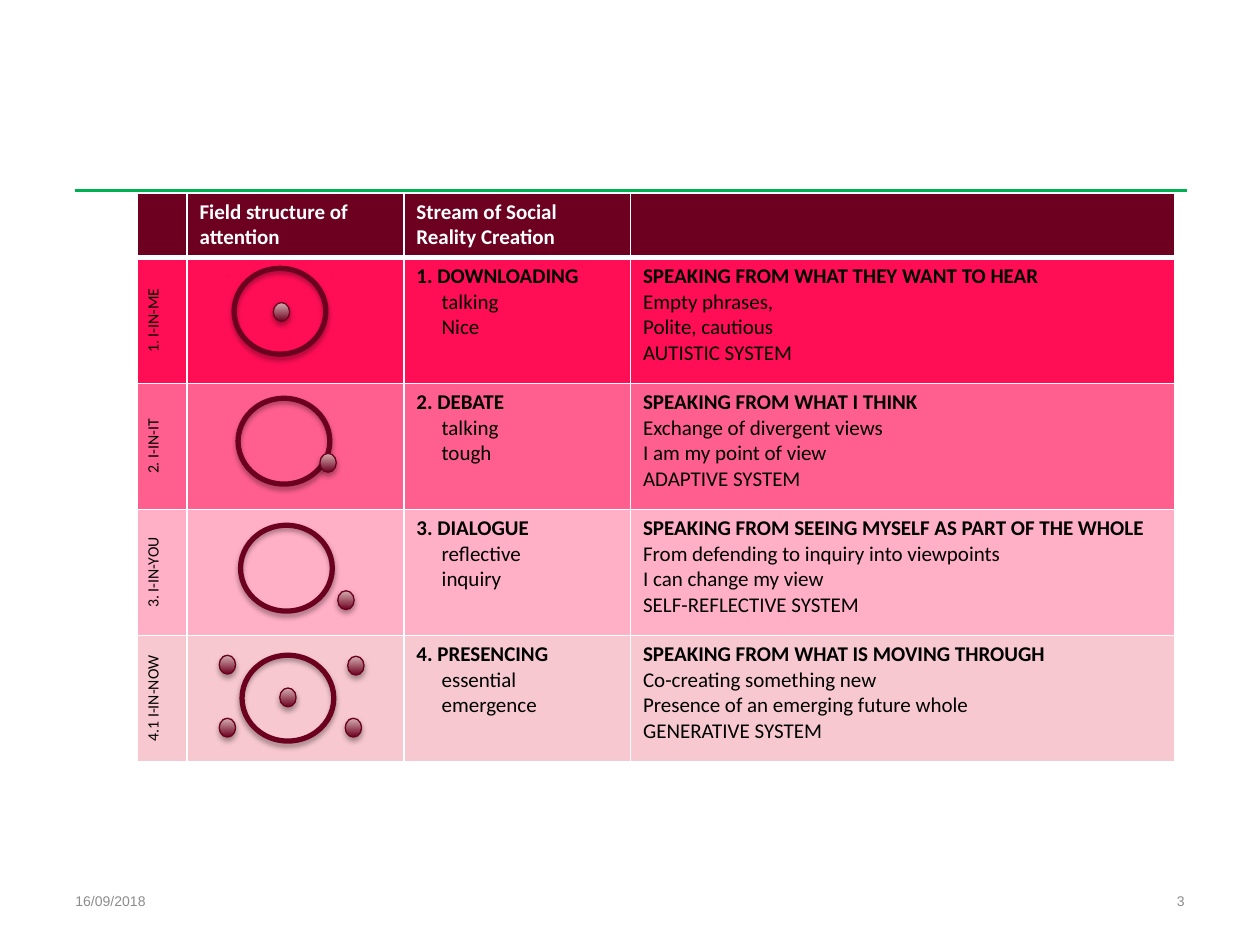
import pptx
import pptx.util
from lxml import etree
from pptx.dml.color import RGBColor
from pptx.enum.shapes import MSO_CONNECTOR, MSO_SHAPE
from pptx.enum.text import MSO_ANCHOR, PP_ALIGN
from pptx.oxml import parse_xml
from pptx.oxml.ns import qn
from pptx.util import Cm, Pt

NAMESPACE = "http://schemas.openxmlformats.org/drawingml/2006/main"
WINE, RIM, WHITE, BLACK = "6D0020", "6B001F", "FFFFFF", "000000"

# Content: lengths in centimetres
HEADERS = ["", "Field structure of attention", "Stream of Social Reality Creation", ""]
LEVELS = [
    {"label": "1. I-IN-ME", "fill": "FF0E55",
     "stream": ["1. DOWNLOADING", "talking", "Nice"],
     "speech": ["SPEAKING FROM WHAT THEY WANT TO HEAR", "Empty phrases,",
                "Polite, cautious", "AUTISTIC SYSTEM"],
     "ring": (4.72, 5.41), "dots": [(5.51, 6.1)]},
    {"label": "2. I-IN-IT", "fill": "FF5F8E",
     "stream": ["2. DEBATE", "talking", "tough"],
     "speech": ["SPEAKING FROM WHAT I THINK", "Exchange of divergent views",
                "I am my point of view", "ADAPTIVE SYSTEM"],
     "ring": (4.8, 8.03), "dots": [(6.45, 9.14)]},
    {"label": "3. I-IN-YOU", "fill": "FFAFC6",
     "stream": ["3. DIALOGUE", "reflective", "inquiry"],
     "speech": ["SPEAKING FROM SEEING MYSELF AS PART OF THE WHOLE",
                "From defending to inquiry into viewpoints",
                "I can change my view", "SELF-REFLECTIVE SYSTEM"],
     "ring": (4.85, 10.59), "dots": [(6.81, 11.91)]},
    {"label": "4.1 I-IN-NOW", "fill": "F7C8CF",
     "stream": ["4. PRESENCING", "essential", "emergence"],
     "speech": ["SPEAKING FROM WHAT IS MOVING THROUGH", "Co-creating something new",
                "Presence of an emerging future whole", "GENERATIVE SYSTEM"],
     "ring": (4.88, 13.21),
     "dots": [(5.64, 13.87), (7.01, 13.23), (6.96, 14.48), (4.42, 13.21), (4.42, 14.48)]},
]
FOOTERS = [("16/09/2018", 1.27, PP_ALIGN.LEFT), ("3", 18.21, PP_ALIGN.RIGHT)]
COLUMNS = [1, 4.37, 4.57, 10.97]
ROWS = [1.3] + [2.54] * len(LEVELS)
RING_SIZE, DOT_SIZE = (1.85, 1.73), (0.33, 0.38)


def colour(code):
    return RGBColor.from_string(code)


def write(frame, text, size=12, font="Calibri", color=BLACK, bold=False,
          align=PP_ALIGN.LEFT, first=True, indent=0):
    para = frame.paragraphs[0] if first else frame.add_paragraph()
    para.alignment = align
    if indent:
        para.level = 1
        properties = para._p.get_or_add_pPr()
        properties.set("marL", str(Cm(indent)))
        properties.set("indent", "0")
    span = para.add_run()
    span.text = text
    span.font.size, span.font.name, span.font.bold = Pt(size), font, bold
    span.font.color.rgb = colour(color)


def write_list(frame, lines, indent=0):
    for index, line in enumerate(lines):
        write(frame, line, bold=index == 0, first=index == 0,
              indent=indent if index else 0)


def format_cell(cell, fill, top=1, bottom=1):
    properties = cell._tc.get_or_add_tcPr()
    for side, width in (("L", 1), ("R", 1), ("T", top), ("B", bottom)):
        properties.append(parse_xml(
            f'<a:ln{side} xmlns:a="{NAMESPACE}" w="{Pt(width)}"><a:solidFill>'
            f'<a:srgbClr val="{WHITE}"/></a:solidFill></a:ln{side}>'))
    cell.fill.solid()
    cell.fill.fore_color.rgb = colour(fill)


def add_oval(shapes, place, size, line_width):
    oval = shapes.add_shape(MSO_SHAPE.OVAL, *map(Cm, place + size))
    oval.fill.background()
    oval.line.color.rgb = colour(RIM)
    oval.line.width = Pt(line_width)
    oval.shadow.inherit = False
    effects = oval._element.spPr.find(qn("a:effectLst"))
    effects.append(parse_xml(
        f'<a:outerShdw xmlns:a="{NAMESPACE}" blurRad="{Pt(3.1)}" dist="{Pt(1.8)}" '
        f'dir="5400000" rotWithShape="0"><a:srgbClr val="{BLACK}">'
        '<a:alpha val="35000"/></a:srgbClr></a:outerShdw>'))
    return oval


def add_dot(shapes, place):
    dot = add_oval(shapes, place, DOT_SIZE, 0.75)
    dot.fill.gradient()
    dot.fill.gradient_angle = 90
    for stop, code in zip(dot.fill.gradient_stops, (WINE, "D6AFB1")):
        stop.color.rgb = colour(code)


def main():
    deck = pptx.Presentation()
    deck.slide_width, deck.slide_height = Cm(25.4), Cm(19.05)
    page = deck.slides.add_slide(deck.slide_layouts[6])

    # Rule above the table
    rule = page.shapes.add_connector(
        MSO_CONNECTOR.STRAIGHT, Cm(1.52), Cm(3.84), Cm(23.93), Cm(3.84))
    rule.line.color.rgb = colour("00B050")
    rule.line.width = Pt(1.5)
    etree.SubElement(rule._element.spPr, qn("a:effectLst"))

    # Date and page number
    for text, left, align in FOOTERS:
        box = page.shapes.add_textbox(Cm(left), Cm(17.65), Cm(5.92), Cm(1.02))
        box.text_frame.word_wrap = True
        box.text_frame.vertical_anchor = MSO_ANCHOR.MIDDLE
        write(box.text_frame, text, size=8, font="Arial", color="8C8C8C", align=align)

    # Table
    table = page.shapes.add_table(
        len(ROWS), len(COLUMNS), Cm(2.77), Cm(3.89), Cm(sum(COLUMNS)), Cm(sum(ROWS))).table
    for column, width in zip(table.columns, COLUMNS):
        column.width = Cm(width)
    for row, height in zip(table.rows, ROWS):
        row.height = Cm(height)
    for cell, text in zip(table.rows[0].cells, HEADERS):
        format_cell(cell, WINE, bottom=3)
        if text:
            write(cell.text_frame, text, color=WHITE, bold=True)
    for number, level in enumerate(LEVELS, start=1):
        cells = list(table.rows[number].cells)
        for cell in cells:
            format_cell(cell, level["fill"], top=3 if number == 1 else 1)
        cells[0]._tc.tcPr.set("vert", "vert270")
        write(cells[0].text_frame, level["label"], size=9, align=PP_ALIGN.CENTER)
        write_list(cells[2].text_frame, level["stream"], indent=0.51)
        write_list(cells[3].text_frame, level["speech"])

    # Attention diagrams: a ring with a single dot forms a group
    for level in LEVELS:
        shapes = page.shapes
        if len(level["dots"]) == 1:
            shapes = page.shapes.add_group_shape().shapes
        add_oval(shapes, level["ring"], RING_SIZE, 3)
        for place in level["dots"]:
            add_dot(shapes, place)

    deck.save("out.pptx")


if __name__ == "__main__":
    main()
